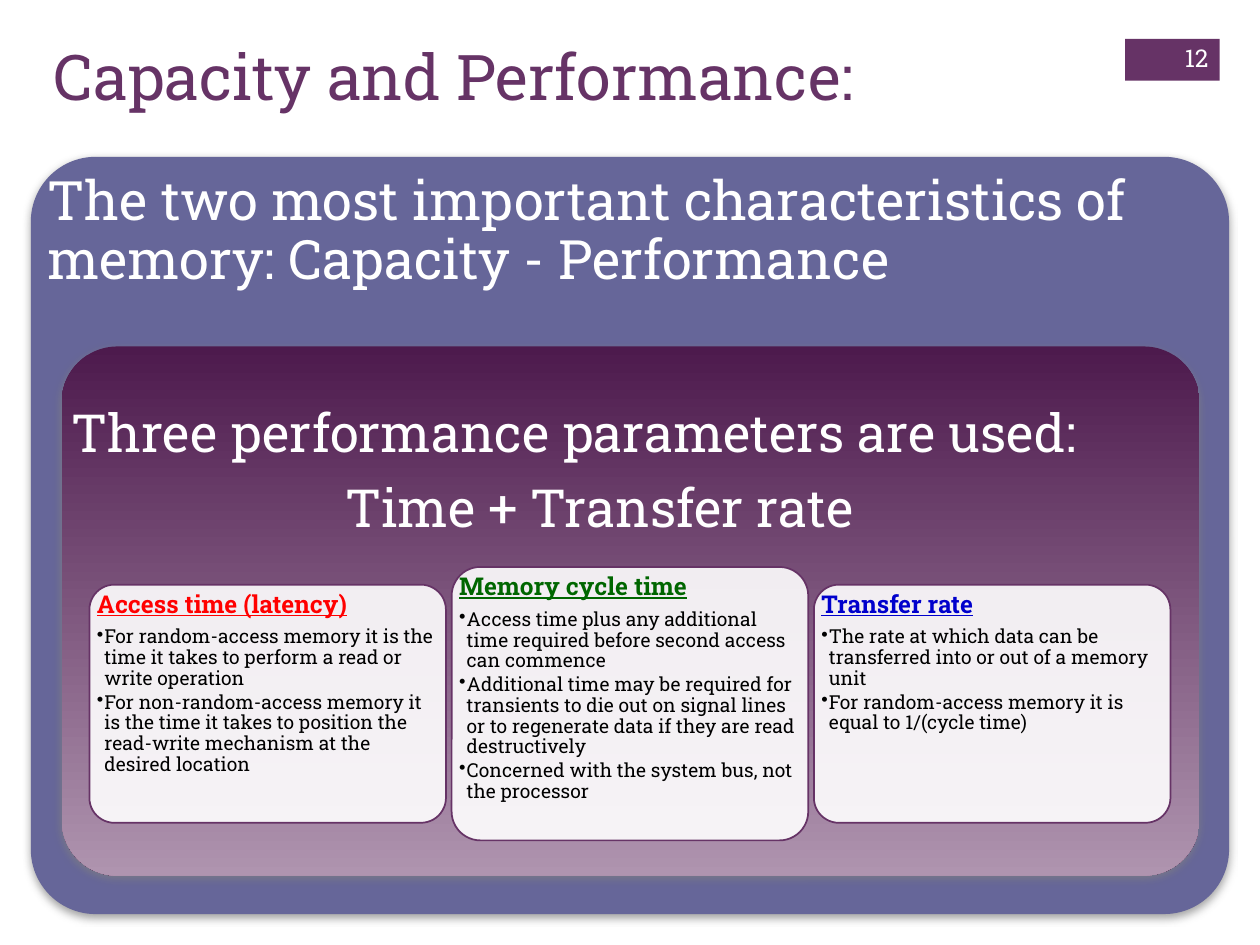
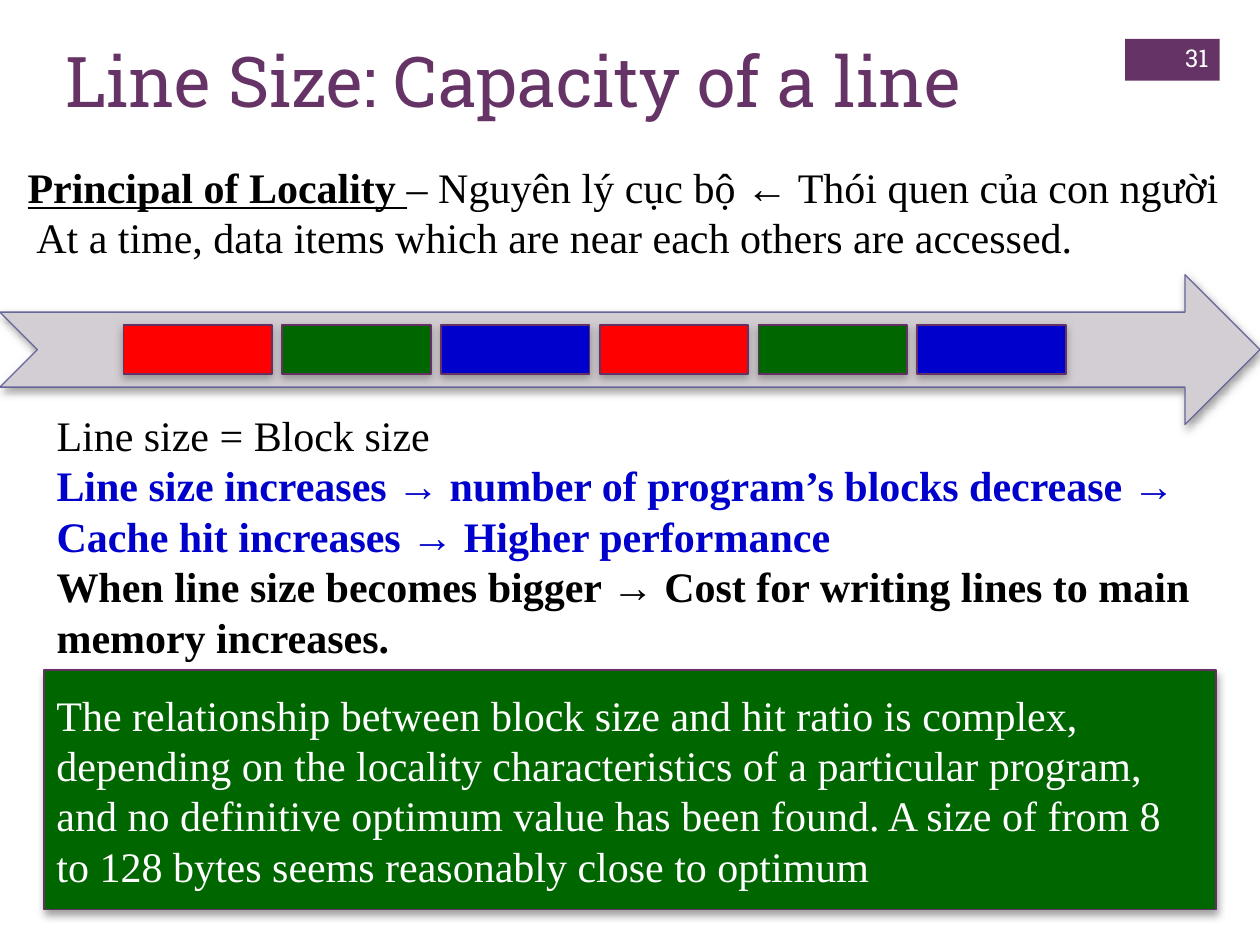
from lxml.etree import SubElement
from pptx import Presentation
from pptx.dml.color import RGBColor
from pptx.enum.shapes import MSO_SHAPE
from pptx.enum.text import MSO_ANCHOR, PP_ALIGN
from pptx.oxml.ns import qn
from pptx.util import Inches, Pt

PURPLE = RGBColor(0x66, 0x33, 0x66)
EDGE = RGBColor(0x65, 0x31, 0x65)
SLATE = RGBColor(0x66, 0x66, 0x99)
DARK_PLUM = RGBColor(0x4D, 0x1A, 0x4D)
PALE_PLUM = RGBColor(0xAF, 0x94, 0xAF)
MIST = RGBColor(0xD3, 0xCE, 0xD3)
RED = RGBColor(0xFF, 0x00, 0x00)
GREEN = RGBColor(0x00, 0x66, 0x00)
BLUE = RGBColor(0x00, 0x00, 0xCC)
BLACK = RGBColor(0x00, 0x00, 0x00)
WHITE = RGBColor(0xFF, 0xFF, 0xFF)
SLAB = "Roboto Slab"
TIMES = "Times New Roman"


def place(slide, at, kind=None, fill=None, line=None, width=1, corner=None, opacity=None,
          shadow=False, insets=(0.1, 0.05, 0.1, 0.05), anchor=MSO_ANCHOR.TOP):
    box = [Inches(length) for length in at]
    if kind is None:
        shape = slide.shapes.add_textbox(*box)
    else:
        shape = slide.shapes.add_shape(kind, *box)
        shape.shadow.inherit = False
        if isinstance(fill, RGBColor):
            shape.fill.solid()
            shape.fill.fore_color.rgb = fill
        else:
            shape.fill.gradient()
            shape.fill.gradient_angle = 270
            for stop, color, position in zip(shape.fill.gradient_stops, fill, (0, 1)):
                stop.color.rgb = color
                stop.position = position
        if line is None:
            shape.line.fill.background()
        else:
            shape.line.color.rgb = line
            shape.line.width = Pt(width)
        if corner is not None:
            shape.adjustments[0] = corner
        properties = shape.element.spPr
        if opacity is not None:
            color = properties.find(qn("a:solidFill")).find(qn("a:srgbClr"))
            SubElement(color, qn("a:alpha"), val=str(opacity * 1000))
        if shadow:
            outer = SubElement(properties.find(qn("a:effectLst")), qn("a:outerShdw"),
                               blurRad=str(Pt(5)), dist=str(Pt(2)), dir="5400000",
                               algn="ctr", rotWithShape="0")
            gray = SubElement(outer, qn("a:srgbClr"), val="808080")
            SubElement(gray, qn("a:alpha"), val="75000")
    frame = shape.text_frame
    frame.word_wrap = True
    frame.vertical_anchor = anchor
    frame.margin_left, frame.margin_top, frame.margin_right, frame.margin_bottom = map(Inches, insets)
    return frame


def write(frame, text, size=24, font=TIMES, color=BLACK, bold=False, underline=False,
          align=PP_ALIGN.LEFT, spacing=None, after=0, indent=0, bullet=False, same_line=False):
    paragraph = frame.paragraphs[-1]
    if paragraph.runs and not same_line:
        paragraph = frame.add_paragraph()
    if not same_line:
        paragraph.alignment = align
        paragraph.space_after = Pt(after * size)
        if spacing:
            paragraph.line_spacing = spacing
        properties = paragraph._p.get_or_add_pPr()
        properties.set("marL", str(Inches(indent)))
        if bullet:
            properties.set("indent", str(-Inches(indent)))
            SubElement(properties, qn("a:buChar"), char="•")
    run = paragraph.add_run()
    run.text = text
    run.font.size = Pt(size)
    run.font.name = font
    run.font.color.rgb = color
    run.font.bold = bold
    run.font.underline = underline


presentation = Presentation()
presentation.slide_width = Inches(10)
presentation.slide_height = Inches(7.5)

headings = [
    ("Capacity and Performance:", 36, (0.33, 0.25, 8.26, 0.9), "12"),
    ("Line Size: Capacity of a line", 40, (0.42, 0.25, 7.73, 0.9), "31"),
]
slides = []
for title, title_size, title_at, number in headings:
    slide = presentation.slides.add_slide(presentation.slide_layouts[6])
    place(slide, (8.93, 0.31, 0.75, 0.33), MSO_SHAPE.RECTANGLE, PURPLE)
    write(place(slide, title_at), title, size=title_size, font=SLAB, color=PURPLE)
    write(place(slide, (9.08, 0.26, 0.61, 0.4), anchor=MSO_ANCHOR.MIDDLE), number,
          size=14, font=SLAB, color=WHITE, align=PP_ALIGN.RIGHT)
    slides.append(slide)
performance, line_size = slides

place(performance, (0.25, 1.25, 9.5, 6), MSO_SHAPE.ROUNDED_RECTANGLE, SLATE, SLATE, 0.75,
      corner=0.085, shadow=True)
write(place(performance, (0.25, 1.25, 9.5, 1.45), insets=(0.13,) * 4),
      "The two most important characteristics of memory: Capacity - Performance",
      size=31, font=SLAB, color=WHITE, spacing=0.9, after=0.35)

place(performance, (0.49, 2.75, 9.03, 4.2), MSO_SHAPE.ROUNDED_RECTANGLE, (DARK_PLUM, PALE_PLUM),
      corner=0.105, shadow=True)
parameters = place(performance, (0.49, 3.15, 9.03, 1.34), insets=(0.08, 0.08, 0.08, 0))
for text, indent in [("Three performance parameters are used:", 0),
                     ("Time + Transfer rate", 2.17)]:
    write(parameters, text, size=30, font=SLAB, color=WHITE, spacing=0.9, after=0.35, indent=indent)

cards = [
    ("Access time (latency)", RED, 1.89, [
        "For random-access memory it is the time it takes to perform a read or write operation",
        "For non-random-access memory it is the time it takes to position the read-write "
        "mechanism at the desired location",
    ]),
    ("Memory cycle time", GREEN, 2.17, [
        "Access time plus any additional time required before second access can commence",
        "Additional time may be required for transients to die out on signal lines or to "
        "regenerate data if they are read destructively",
        "Concerned with the system bus, not the processor",
    ]),
    ("Transfer rate", BLUE, 1.89, [
        "The rate at which data can be transferred into or out of a memory unit",
        "For random-access memory it is equal to 1/(cycle time)",
    ]),
]
for column, (parameter, color, height, points) in enumerate(cards):
    card_at = (0.71 + 2.875 * column, 5.585 - height / 2, 2.83, height)
    place(performance, card_at, MSO_SHAPE.ROUNDED_RECTANGLE, WHITE, PURPLE, corner=0.105, opacity=90)
    card = place(performance, card_at, insets=(0.06,) * 4)
    write(card, parameter, size=14, font=SLAB, color=color, bold=True, underline=True,
          spacing=0.9, after=0.35)
    for point in points:
        write(card, point, size=11, font=SLAB, spacing=0.9, after=0.15, indent=0.06, bullet=True)

conclusion = place(line_size, (0.35, 5.32, 9.3, 1.9), MSO_SHAPE.RECTANGLE, GREEN, EDGE,
                   shadow=True, anchor=MSO_ANCHOR.MIDDLE)
write(conclusion,
      "The relationship between block size and hit ratio is complex, depending on the locality "
      "characteristics of a particular program, and no definitive optimum value has been found. "
      "A size of from 8 to 128 bytes seems reasonably close to optimum", color=WHITE)

place(line_size, (0, 2.18, 10, 1.19), MSO_SHAPE.NOTCHED_RIGHT_ARROW, MIST, SLATE, 0.75, shadow=True)
for position, color in enumerate([RED, GREEN, BLUE] * 2):
    place(line_size, (0.98 + 1.26 * position, 2.58, 1.18, 0.39), MSO_SHAPE.RECTANGLE,
          color, EDGE, shadow=True)

locality = place(line_size, (0.12, 1.23, 9.72, 0.91))
write(locality, "Principal of Locality ", bold=True, underline=True)
write(locality, "– Nguyên lý cục bộ ← Thói quen của con người", same_line=True)
write(locality, "At a time, data items which are near each others are accessed.", indent=0.07)

effects = place(line_size, (0.35, 3.2, 9.21, 2.12))
write(effects, "Line size = Block size")
write(effects, "Line size increases → number of program’s blocks decrease → "
      "Cache hit increases → Higher performance", color=BLUE, bold=True)
write(effects, "When line size becomes bigger → Cost for writing lines to main memory increases.",
      bold=True)

presentation.save("out.pptx")
